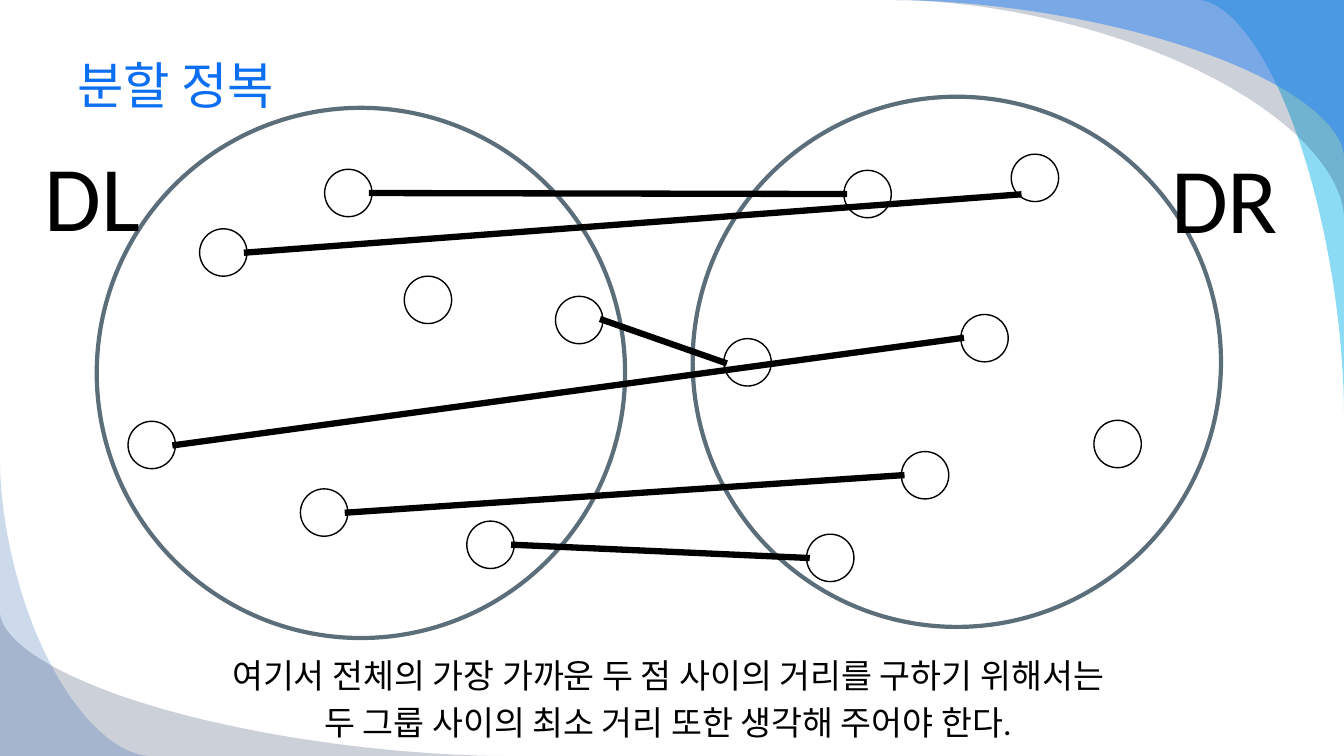
"""Builds the divide-and-conquer slide with two point groups and their links."""
import math

import pptx
import pptx.dml.color
import pptx.enum.shapes
import pptx.enum.text
import pptx.oxml.ns
import pptx.util

WIDE, HIGH = 13.33, 7.5
DOT = 0.47
BEND, STEPS = 1.76, 40
BLACK, WHITE, BLUE, SLATE = "000000", "FFFFFF", "0C6FF2", "5C6E7A"
NAVY, ROYAL, SKY, CYAN = "021741", "084AA1", "247FF4", "00B1E9"

TITLE = "분할 정복"
BODY = ["여기서 전체의 가장 가까운 두 점 사이의 거리를 구하기 위해서는",
        "두 그룹 사이의 최소 거리 또한 생각해 주어야 한다."]
TITLE_BOX = (0.67, 0.33, 12, 1.01)
BODY_BOX = (0.67, 6.45, 11.91, 1.02)

TOP, BASE = (WIDE, 0), (0, HIGH)
WAVES = [
    dict(corner=TOP, run=-1.44, rise=4.08, tone=CYAN, alpha=45),
    dict(corner=TOP, run=-4.44, rise=2.15, tone=NAVY, alpha=20),
    dict(corner=TOP, run=-4.44, rise=1.55, tone=SKY, alpha=49),
    dict(corner=BASE, run=5, rise=-1.42, tone=NAVY, alpha=20),
    dict(corner=BASE, run=1.48, rise=-2.92, tone=ROYAL, alpha=20),
]

GROUPS = [
    dict(tag="DL", box=(0.14, 1.33, 1.55, 1.17), ring=(0.96, 1.07, 5.24, 5.26)),
    dict(tag="DR", box=(11.37, 1.35, 1.55, 1.17), ring=(6.87, 0.96, 5.24, 5.26)),
]

SIDE, UNDER = (0, DOT / 2), (0.07, 0.4)
PAIRS = [
    ((3.22, 1.68), (8.37, 1.69), SIDE),
    ((5.51, 2.94), (7.18, 3.36), SIDE),
    ((4.63, 5.17), (8, 5.3), SIDE),
    ((1.27, 4.18), (9.53, 3.12), SIDE),
    ((1.98, 2.27), (10.03, 1.53), UNDER),
    ((2.98, 4.85), (8.94, 4.48), SIDE),
]
LONE = [(4.01, 2.74), (10.85, 4.17)]


def size(inch):
    return pptx.util.Cm(inch * 2.54)


def paint(fill, tone):
    fill.solid()
    fill.fore_color.rgb = pptx.dml.color.RGBColor.from_string(tone)


def add_node(owner, tag, **attrs):
    owner.append(owner.makeelement(pptx.oxml.ns.qn(tag), attrs))


def arc(corner, run, rise):
    """Return points of a superellipse quarter from the flat end to the steep end."""
    x, y = corner
    for step in range(STEPS + 1):
        angle = math.pi / 2 * step / STEPS
        across = 1 - math.sin(angle) ** (2 / BEND)
        down = 1 - max(math.cos(angle), 0) ** (2 / BEND)
        yield size(x + run * across), size(y + rise * down)


def add_wave(shapes, corner, run, rise, tone, alpha):
    pen = shapes.build_freeform(*map(size, corner), scale=1.0)
    pen.add_line_segments(list(arc(corner, run, rise)), close=True)
    form = pen.convert_to_shape()
    form.shadow.inherit = False
    form.line.fill.background()
    paint(form.fill, tone)
    color = form._element.spPr.find(".//" + pptx.oxml.ns.qn("a:srgbClr"))
    add_node(color, "a:alpha", val=str(alpha * 1000))


def add_oval(shapes, box, tone, thick, fill=None):
    form = shapes.add_shape(pptx.enum.shapes.MSO_SHAPE.OVAL, *map(size, box))
    form.shadow.inherit = False
    if fill:
        paint(form.fill, fill)
    else:
        form.fill.background()
    paint(form.line.fill, tone)
    form.line.width = pptx.util.Pt(thick)


def add_link(shapes, left, right, touch):
    start = (left[0] + DOT, left[1] + DOT / 2)
    end = (right[0] + touch[0], right[1] + touch[1])
    kind = pptx.enum.shapes.MSO_CONNECTOR.STRAIGHT
    link = shapes.add_connector(kind, *map(size, start + end))
    paint(link.line.fill, BLACK)
    link.line.width = pptx.util.Pt(4.5)
    props = link._element.spPr
    props.find(pptx.oxml.ns.qn("a:ln")).set("cap", "sq")
    add_node(props, "a:effectLst")


def write(shapes, lines, box, points, tone=BLACK, align="CENTER", anchor="TOP", gap=0.2):
    frame = shapes.add_textbox(*map(size, box)).text_frame
    frame.word_wrap = True
    frame.vertical_anchor = pptx.enum.text.MSO_ANCHOR[anchor]
    frame.text = "\n".join(lines)
    for para in frame.paragraphs:
        para.alignment = pptx.enum.text.PP_ALIGN[align]
        para.space_before = pptx.util.Pt(points * gap)
        font = para.runs[0].font
        font.name, font.size = "Calibri", pptx.util.Pt(points)
        paint(font.fill, tone)


def main():
    deck = pptx.Presentation()
    deck.slide_width, deck.slide_height = size(WIDE), size(HIGH)
    shapes = deck.slides.add_slide(deck.slide_layouts[6]).shapes

    for wave in WAVES:
        add_wave(shapes, **wave)
    write(shapes, [TITLE], TITLE_BOX, 36, tone=BLUE, align="LEFT", anchor="MIDDLE", gap=0)
    write(shapes, BODY, BODY_BOX, 24)

    dots = [dot for left, right, _ in PAIRS for dot in (left, right)] + LONE
    for dot in dots:
        add_oval(shapes, dot + (DOT, DOT), BLACK, 1, fill=WHITE)
    for group in GROUPS:
        add_oval(shapes, group["ring"], SLATE, 3)
        write(shapes, [group["tag"]], group["box"], 66)
    for pair in PAIRS:
        add_link(shapes, *pair)

    deck.save("out.pptx")


if __name__ == "__main__":
    main()
